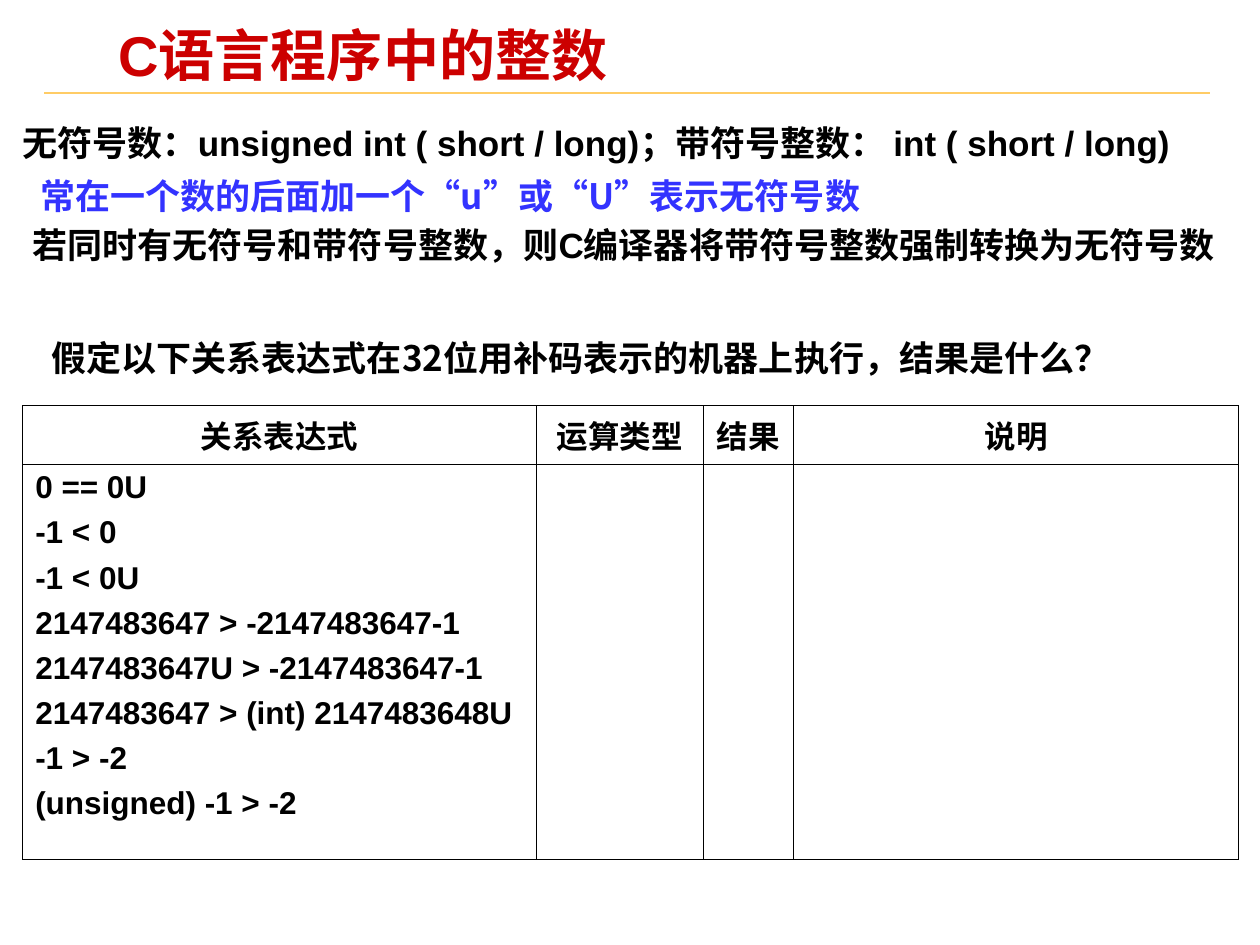
"""Builds a slide about integers in C programs, with a table of relational expressions."""
import pptx
import pptx.dml.color
import pptx.enum.text
import pptx.oxml
import pptx.oxml.ns
import pptx.util

Inches, Pt = pptx.util.Inches, pptx.util.Pt
PP_ALIGN = pptx.enum.text.PP_ALIGN
ARIAL, NOTO = "Arial", "Noto Sans CJK SC"
BLACK, BLUE, RED, GOLD = "000000", "3333FF", "CC0000", "FFCC66"

TITLE = "C语言程序中的整数"
SPACED = {"line_spacing": 1.2, "space_before": Pt(7.5)}
NOTES = [
    ((0.08, 0.85, 9.58, 0.5), BLACK, SPACED, False,
     [("无符号数：unsigned int ( short / long)；带符号整数： int ( short / long)", ARIAL)]),
    ((0.22, 1.27, 7.43, 0.5), BLUE, SPACED, True,
     [("常在一个数的后面加一个", NOTO), ("“", ARIAL), ("u", NOTO), ("”", ARIAL), ("或", NOTO),
      ("“", ARIAL), ("U", NOTO), ("”", ARIAL), ("表示无符号数", NOTO)]),
    ((0.16, 1.66, 9.77, 0.5), BLACK, SPACED, True,
     [("若同时有无符号和带符号整数，则C编译器将带符号整数强制转换为无符号数", ARIAL)]),
    ((0.31, 2.62, 8.93, 0.44), BLACK, {"space_before": Pt(12.5)}, True,
     [("假定以下关系表达式在32位用补码表示的机器上执行，结果是什么？", NOTO)]),
]
COLUMNS = [("关系表达式", 4.08), ("运算类型", 1.32), ("结果", 0.72), ("说明", 3.53)]
ROW_HEIGHTS = [0.4, 3.14]
EXPRESSIONS = [
    "0 == 0U",
    "-1 < 0",
    "-1 < 0U",
    "2147483647 > -2147483647-1",
    "2147483647U > -2147483647-1",
    "2147483647 > (int) 2147483648U",
    "-1 > -2",
    "(unsigned) -1 > -2",
]


def rgb(value):
    return pptx.dml.color.RGBColor.from_string(value)


def set_attrs(obj, values):
    for name, value in values.items():
        setattr(obj, name, value)


def sub_xml(tag, inner="", attrs=""):
    ns = pptx.oxml.ns.nsdecls("a")
    return pptx.oxml.parse_xml(f"<a:{tag} {ns} {attrs}>{inner}</a:{tag}>")


def write(p, runs, size, color, fmt):
    set_attrs(p, fmt)
    for text, font in runs:
        r = p.add_run()
        r.text = text
        set_attrs(r.font, {"name": font, "size": Pt(size), "bold": True})
        r.font.color.rgb = rgb(color)
        r.font._element.append(sub_xml("ea", attrs=f'typeface="{NOTO}"'))


def add_title(s):
    sp = s.shapes.title
    set_attrs(sp, dict(zip(("left", "top", "width", "height"),
                           map(Inches, (0.87, 0.21, 6.64, 0.52)))))
    tf = sp.text_frame
    set_attrs(tf, {"margin_left": Inches(0.07), "margin_right": Inches(0.07),
                   "margin_top": Inches(0.03), "margin_bottom": Inches(0.03),
                   "vertical_anchor": pptx.enum.text.MSO_ANCHOR.MIDDLE,
                   "auto_size": pptx.enum.text.MSO_AUTO_SIZE.NONE})
    write(tf.paragraphs[0], [(TITLE, ARIAL)], 32, RED,
          {"alignment": PP_ALIGN.LEFT, "line_spacing": 0.87})


def add_rule(s):
    line = s.shapes.add_connector(1, Inches(0.35), Inches(0.74), Inches(9.6), Inches(0.74))
    line.line.color.rgb = rgb(GOLD)
    line.line.width = Pt(1)
    line._element.spPr.append(sub_xml("effectLst"))


def add_note(s, box, color, fmt, wrap, runs):
    tf = s.shapes.add_textbox(*map(Inches, box)).text_frame
    set_attrs(tf, {"word_wrap": wrap,
                   "auto_size": pptx.enum.text.MSO_AUTO_SIZE.SHAPE_TO_FIT_TEXT})
    write(tf.paragraphs[0], runs, 20, color, fmt)


def fill_cell(cell, lines, fmt):
    tf = cell.text_frame
    for i, text in enumerate(lines):
        p = tf.add_paragraph() if i else tf.paragraphs[0]
        write(p, [(text, ARIAL)], 18, BLACK, fmt)
        pPr = p._p.get_or_add_pPr()
        pPr.set("marL", str(Inches(0.22)))
        pPr.set("indent", str(Inches(-0.22)))


def add_table(s):
    width, height = sum(w for _, w in COLUMNS), sum(ROW_HEIGHTS)
    table = s.shapes.add_table(len(ROW_HEIGHTS), len(COLUMNS), Inches(0.18), Inches(3.22),
                               Inches(width), Inches(height)).table
    set_attrs(table, {"first_row": False, "horz_banding": False})
    for row, h in zip(table.rows, ROW_HEIGHTS):
        row.height = Inches(h)
    for i, (heading, w) in enumerate(COLUMNS):
        table.columns[i].width = Inches(w)
        fill_cell(table.cell(0, i), [heading], {"alignment": PP_ALIGN.CENTER})
    fill_cell(table.cell(1, 0), EXPRESSIONS, {"space_before": Pt(5.6)})
    border = f'<a:solidFill><a:srgbClr val="{BLACK}"/></a:solidFill>'
    for cell in table.iter_cells():
        tcPr = cell._tc.get_or_add_tcPr()
        for side in ("lnL", "lnR", "lnT", "lnB"):
            tcPr.append(sub_xml(side, border, f'w="{Pt(0.45)}"'))
        cell.fill.background()


def main():
    prs = pptx.Presentation()
    set_attrs(prs, {"slide_width": Inches(10), "slide_height": Inches(7.5)})
    s = prs.slides.add_slide(prs.slide_layouts[5])
    add_rule(s)
    add_title(s)
    add_table(s)
    for note in NOTES:
        add_note(s, *note)
    prs.save("out.pptx")


if __name__ == "__main__":
    main()
